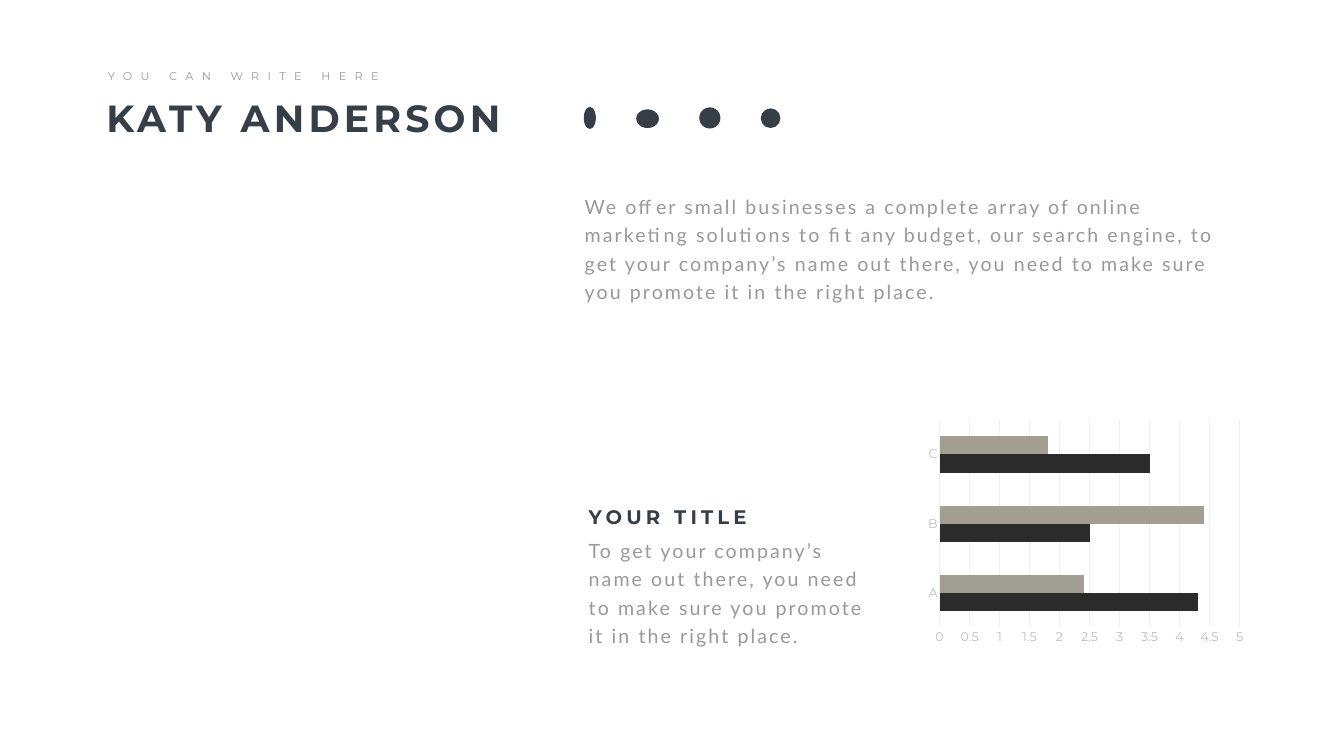
from pptx import Presentation
from pptx.chart.data import CategoryChartData
from pptx.dml.color import RGBColor
from pptx.enum.chart import XL_CHART_TYPE, XL_TICK_MARK
from pptx.enum.shapes import MSO_SHAPE
from pptx.enum.text import MSO_AUTO_SIZE
from pptx.util import Emu, Pt

BAR = XL_CHART_TYPE.BAR_CLUSTERED
NO_TICK = XL_TICK_MARK.NONE
OVAL = MSO_SHAPE.OVAL
GROW = MSO_AUTO_SIZE.SHAPE_TO_FIT_TEXT

EMU_PER_PX = 9144  # 100 px to the inch
COLORS = {
    "dark": "363E48",
    "grey": "999999",
    "label": "BDBDBD",
    "grid": "F0F0F0",
    "black": "2B2B2B",
    "sand": "A29F92",
}
HEAD, BODY = "Montserrat", "Lato"


def px(n):
    return Emu(n * EMU_PER_PX)


def rgb(name):
    return RGBColor.from_string(COLORS[name])


class Deck:
    def __init__(self, width, height):
        self.prs = Presentation()
        self.prs.slide_width, self.prs.slide_height = px(width), px(height)
        self.s = self.prs.slides.add_slide(self.prs.slide_layouts[6])

    def style(self, font, size, color, name=HEAD, bold=False):
        font.name, font.size, font.bold = name, Pt(size), bold
        font.color.rgb = rgb(color)

    def text(self, box, words, size, color, name=HEAD, bold=False,
             spacing=6, leading=None, wrap=True):
        tf = self.s.shapes.add_textbox(*map(px, box)).text_frame
        tf.word_wrap, tf.auto_size = wrap, GROW
        p = tf.paragraphs[0]
        r = p.add_run()
        r.text = words
        r.font._element.set("spc", str(spacing * 100))
        self.style(p.font, size, color, name, bold)
        if leading:
            p.line_spacing = Pt(leading)

    def body(self, box, words):
        self.text(box, words, 28, "grey", BODY, spacing=3, leading=40.8)

    def icon(self, box):
        sp = self.s.shapes.add_shape(OVAL, *map(px, box))
        sp.shadow.inherit = False
        sp.fill.solid()
        sp.fill.fore_color.rgb = rgb("dark")
        sp.line.fill.background()

    def bar_chart(self, box, cats, series, gap):
        data = CategoryChartData()
        data.categories = cats
        for name, values, _ in series:
            data.add_series(name, values)
        chart = self.s.shapes.add_chart(BAR, *map(px, box), data).chart
        chart.has_legend = chart.has_title = False
        self.style(chart.font, 18, "grey")

        plot = chart.plots[0]
        plot.gap_width, plot.vary_by_categories = gap, False
        for ser, (_, _, color) in zip(plot.series, series):
            ser.format.fill.solid()
            ser.format.fill.fore_color.rgb = rgb(color)

        cat_axis, val_axis = chart.category_axis, chart.value_axis
        for axis in (cat_axis, val_axis):
            axis.major_tick_mark = axis.minor_tick_mark = NO_TICK
            self.style(axis.tick_labels.font, 18, "label")
        val_axis.minimum_scale, val_axis.maximum_scale = 0, 5
        val_axis.major_unit = 0.5
        val_axis.format.line.fill.background()
        val_axis.has_major_gridlines = True
        for line in (cat_axis.format.line, val_axis.major_gridlines.format.line):
            line.color.rgb = rgb("grid")
            line.width = Pt(0.75)


def main():
    deck = Deck(2666, 1500)

    # Heading
    deck.text((201, 183, 950, 101), "KATY ANDERSON", 54, "dark", bold=True)
    deck.text((204, 133, 578, 37), "YOU CAN WRITE HERE", 16, "grey",
              spacing=12, wrap=False)

    # Plain marks for the social links
    for box in ((1158, 212, 24, 44), (1262, 217, 45, 37),
                (1387, 213, 42, 42), (1509, 215, 39, 39)):
        deck.icon(box)

    # Introduction
    deck.body((1150, 371, 1328, 234),
              "We offer small businesses a complete array of online marketing "
              "solutions to fit any budget, our search engine, to get your "
              "company’s name out there, you need to make sure you promote it "
              "in the right place.")

    # Chart
    deck.bar_chart((1828, 824, 651, 464), ("A", "B", "C"),
                   (("Series 1", (4.3, 2.5, 3.5), "black"),
                    ("Series 2", (2.4, 4.4, 1.8), "sand")), gap=182)

    # Chart caption
    deck.body((1158, 1054, 577, 234),
              "To get your company’s name out there, you need to make sure you "
              "promote it in the right place.")
    deck.text((1158, 997, 508, 57), "YOUR TITLE", 28, "dark", bold=True)

    deck.prs.save("out.pptx")


if __name__ == "__main__":
    main()
